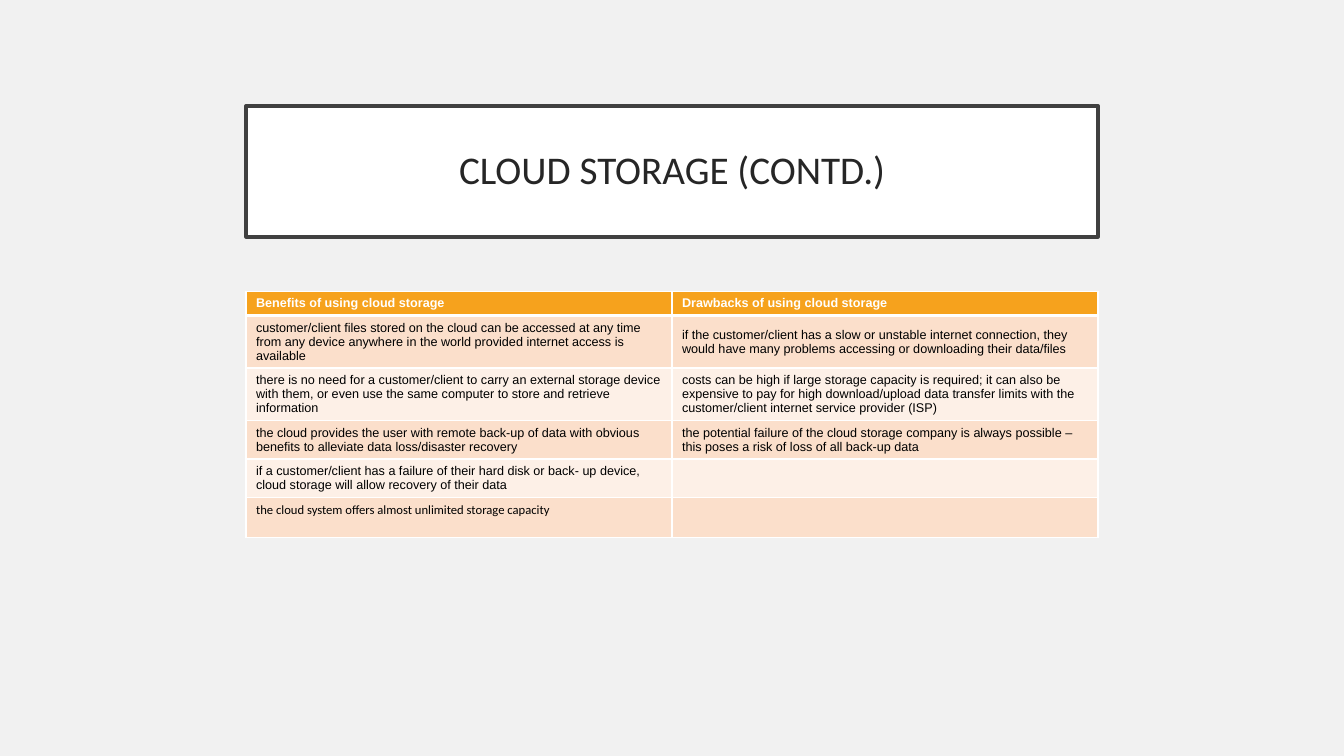
import pptx
import pptx.util
import pptx.dml.color
import pptx.enum.shapes
import pptx.enum.text
import pptx.oxml.ns
import lxml.etree

Inches = pptx.util.Inches
Pt = pptx.util.Pt
RGBColor = pptx.dml.color.RGBColor
Anchor = pptx.enum.text.MSO_ANCHOR
qn = pptx.oxml.ns.qn

PAPER = RGBColor(0xF1, 0xF1, 0xF1)
WHITE = RGBColor(0xFF, 0xFF, 0xFF)
BLACK = RGBColor(0x00, 0x00, 0x00)
FRAME = RGBColor(0x40, 0x40, 0x40)
INK = RGBColor(0x26, 0x26, 0x26)
ORANGE = RGBColor(0xF6, 0xA2, 0x1D)
PEACH = RGBColor(0xFB, 0xDF, 0xCB)
CREAM = RGBColor(0xFD, 0xF0, 0xE7)

LEFT, WIDTH = Inches(2.44), Inches(8.45)
ROWS = [
    ("Benefits of using cloud storage", "Drawbacks of using cloud storage"),
    ("customer/client files stored on the cloud can be accessed at any time "
     "from any device anywhere in the world provided internet access is available",
     "if the customer/client has a slow or unstable internet connection, they "
     "would have many problems accessing or downloading their data/files"),
    ("there is no need for a customer/client to carry an external storage device "
     "with them, or even use the same computer to store and retrieve information",
     "costs can be high if large storage capacity is required; it can also be "
     "expensive to pay for high download/upload data transfer limits with the "
     "customer/client internet service provider (ISP)"),
    ("the cloud provides the user with remote back-up of data with obvious "
     "benefits to alleviate data loss/disaster recovery",
     "the potential failure of the cloud storage company is always possible – "
     "this poses a risk of loss of all back-up data"),
    ("if a customer/client has a failure of their hard disk or back- up device, "
     "cloud storage will allow recovery of their data", ""),
    ("the cloud system offers almost unlimited storage capacity", ""),
]
HEIGHTS = [0.24, 0.52, 0.52, 0.38, 0.38, 0.4]
LAST = len(ROWS) - 1


def add_edge(cell, side, width):
    """Draw one white border of a cell."""
    line = lxml.etree.SubElement(cell._tc.get_or_add_tcPr(), qn("a:" + side), w=str(Pt(width)))
    fill = lxml.etree.SubElement(line, qn("a:solidFill"))
    lxml.etree.SubElement(fill, qn("a:srgbClr"), val=str(WHITE))


# Slide
deck = pptx.Presentation()
deck.slide_width, deck.slide_height = Inches(13.33), Inches(7.5)
slide = deck.slides.add_slide(deck.slide_layouts[6])
slide.background.fill.solid()
slide.background.fill.fore_color.rgb = PAPER

# Title box
title = slide.shapes.add_shape(
    pptx.enum.shapes.MSO_SHAPE.RECTANGLE, LEFT, Inches(1.05), WIDTH, Inches(1.3))
title.shadow.inherit = False
title.fill.solid()
title.fill.fore_color.rgb = WHITE
title.line.color.rgb = FRAME
title.line.width = Pt(2.5)
frame = title.text_frame
frame.text = "CLOUD STORAGE (CONTD.)"
frame.word_wrap = True
frame.vertical_anchor = Anchor.MIDDLE
frame.margin_left = frame.margin_right = Inches(0.2)
frame.margin_top = frame.margin_bottom = Inches(0.2)
para = frame.paragraphs[0]
para.alignment = pptx.enum.text.PP_ALIGN.CENTER
para.line_spacing = 0.9
font = para.runs[0].font
font.name, font.size, font.color.rgb = "Calibri", Pt(28), INK

# Table of benefits and drawbacks
table = slide.shapes.add_table(
    len(ROWS), 2, LEFT, Inches(2.89), WIDTH, Inches(sum(HEIGHTS))).table
for col in table.columns:
    col.width = WIDTH // 2

for r, texts in enumerate(ROWS):
    table.rows[r].height = Inches(HEIGHTS[r])
    for c, text in enumerate(texts):
        cell = table.cell(r, c)
        # A thick rule parts the header from the body
        add_edge(cell, "lnL", 1)
        add_edge(cell, "lnR", 1)
        add_edge(cell, "lnT", 3 if r == 1 else 1)
        add_edge(cell, "lnB", 3 if r == 0 else 1)
        cell.fill.solid()
        cell.fill.fore_color.rgb = ORANGE if r == 0 else PEACH if r % 2 else CREAM
        cell.vertical_anchor = Anchor.TOP if r == LAST else Anchor.MIDDLE
        cell.margin_left = cell.margin_right = Inches(0.1)
        cell.margin_top = cell.margin_bottom = Inches(0.05)
        para = cell.text_frame.paragraphs[0]
        para.text = text
        for run in para.runs:
            font = run.font
            font.name = "Calibri" if r == LAST else "Arial"
            font.size = Pt(9)
            font.bold = r == 0
            font.color.rgb = WHITE if r == 0 else BLACK
        # Empty cells need a small size too, or they stretch their row
        if not text:
            lxml.etree.SubElement(para._p, qn("a:endParaRPr"), sz="900")

deck.save("out.pptx")
